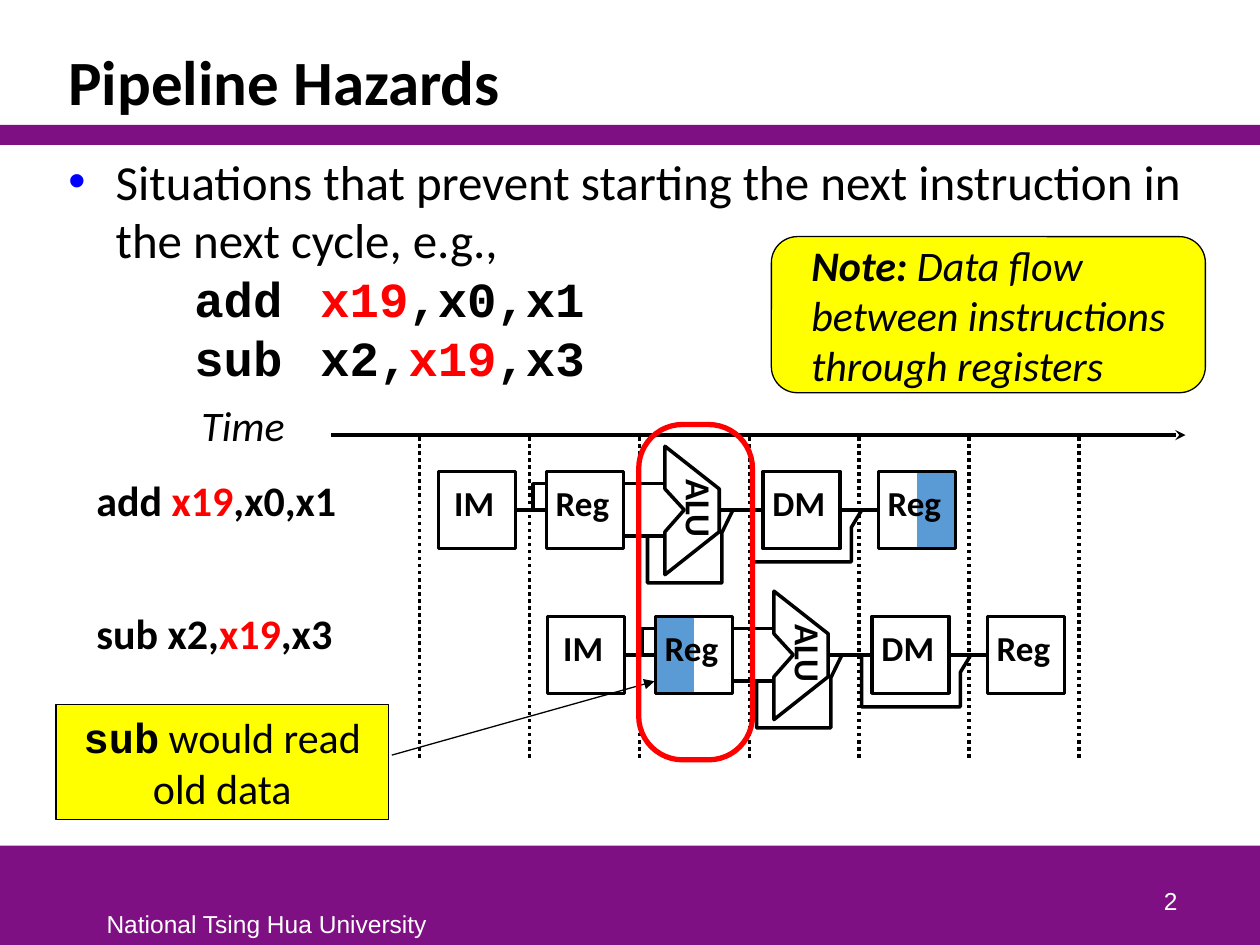
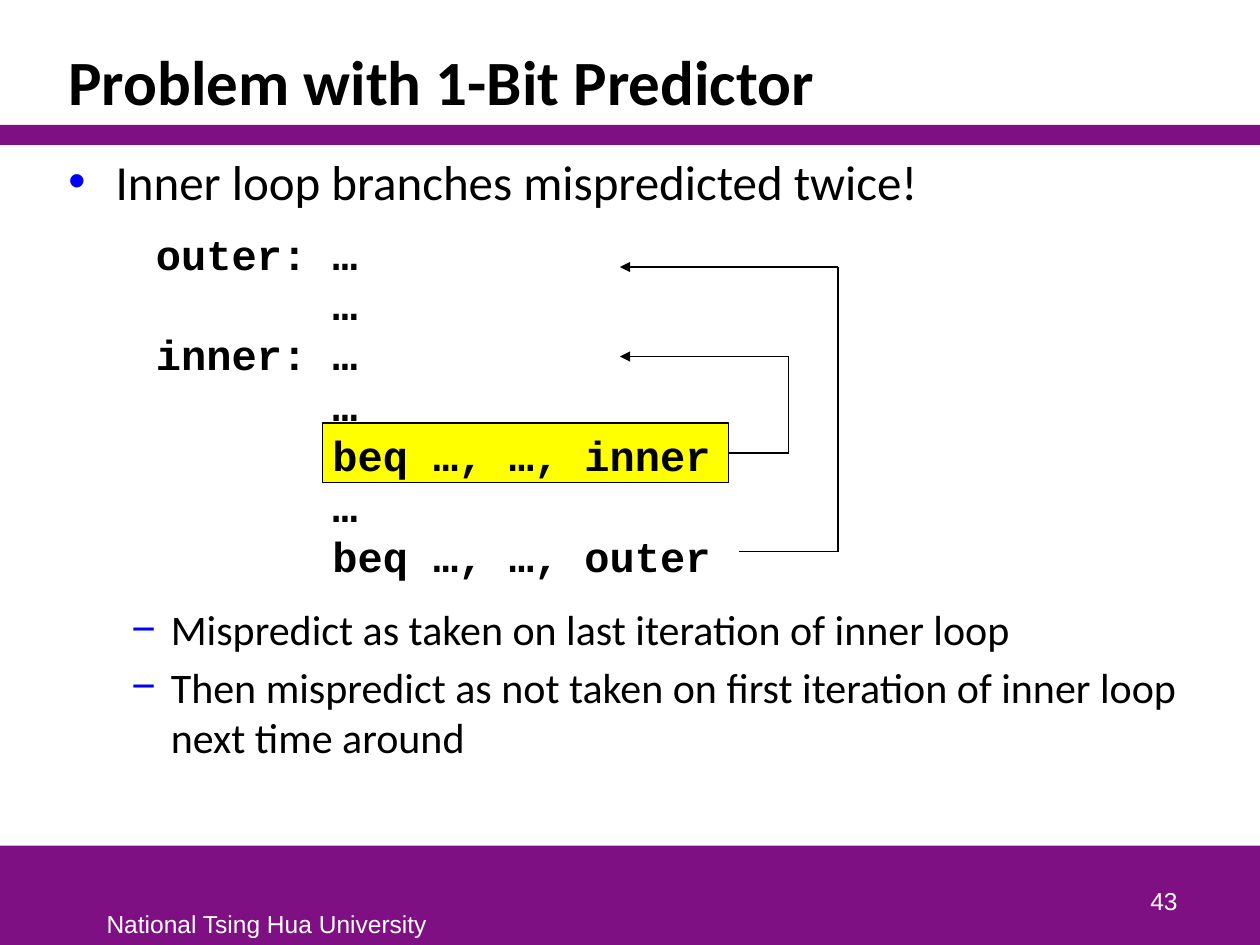
from dataclasses import dataclass, replace

from lxml.etree import SubElement
from pptx import Presentation
from pptx.dml.color import RGBColor
from pptx.enum.dml import MSO_LINE
from pptx.enum.shapes import MSO_CONNECTOR, MSO_SHAPE
from pptx.enum.text import MSO_ANCHOR, PP_ALIGN
from pptx.oxml.ns import qn
from pptx.util import Pt


@dataclass(frozen=True)
class Style:
    size: float
    font: str = "Calibri"
    color: str = "000000"
    bold: bool = False
    italic: bool = False


@dataclass(frozen=True)
class Theme:
    black: str = "000000"
    purple: str = "7F1084"
    yellow: str = "FFFF00"
    red: str = "FF0000"
    active: str = "5B9BD5"
    bullet: str = "0000FF"
    thin: float = 0.75
    wire: float = 2
    emphasis: float = 3
    title: Style = Style(36, bold=True)
    body: Style = Style(28)
    detail: Style = Style(24)
    body_code: Style = Style(28, "Courier New", bold=True)
    code: Style = Style(24, "Courier New", bold=True)
    note: Style = Style(24, italic=True)
    instruction: Style = Style(24, bold=True)
    stage: Style = Style(20, bold=True)
    footer: Style = Style(14, "Arial", "FFFFFF")


THEME = Theme()
BODY_BOX = (32, 82.8, 656.6, 398.2)
CYCLE = 62.8      # width of one clock cycle
HALF = 22         # half of a pipeline stage, whose middle is its wire level


def points(*values):
    return [Pt(value) for value in values]


def write(paragraph, *pieces):
    """Add (text, style) pieces as runs."""
    for text, style in pieces:
        run = paragraph.add_run()
        run.text = text
        run.font.size, run.font.name = Pt(style.size), style.font
        run.font.bold, run.font.italic = style.bold, style.italic
        run.font.color.rgb = RGBColor.from_string(style.color)


def add_text(slide, box, *pieces, wrap=True, align=PP_ALIGN.LEFT, anchor=MSO_ANCHOR.TOP):
    text_box = slide.shapes.add_textbox(*points(*box))
    text_frame = text_box.text_frame
    text_frame.word_wrap, text_frame.vertical_anchor = wrap, anchor
    text_frame.paragraphs[0].alignment = align
    write(text_frame.paragraphs[0], *pieces)
    return text_box


def paint(shape, fill=None, width=None, color=THEME.black):
    shape.shadow.inherit = False
    if fill:
        shape.fill.solid()
        shape.fill.fore_color.rgb = RGBColor.from_string(fill)
    else:
        shape.fill.background()
    if width:
        shape.line.width = Pt(width)
        shape.line.color.rgb = RGBColor.from_string(color)
    else:
        shape.line.fill.background()


def add_box(slide, kind, box, fill=None, width=None, color=THEME.black):
    shape = slide.shapes.add_shape(kind, *points(*box))
    paint(shape, fill, width, color)
    return shape


def add_arrowhead(shape, kind):
    line = shape.element.spPr.find(qn("a:ln"))
    SubElement(line, qn("a:tailEnd"), type=kind)


def add_line(slide, start, end, width, head=None, dash=None):
    connector = slide.shapes.add_connector(MSO_CONNECTOR.STRAIGHT, *points(*start, *end))
    connector.line.width = Pt(width)
    connector.line.color.rgb = RGBColor.from_string(THEME.black)
    if dash:
        connector.line.dash_style = dash
    if head:
        add_arrowhead(connector, head)
    SubElement(connector.element.spPr, qn("a:effectLst"))
    return connector


def add_outline(slide, origin, vertices, fill=None, close=False):
    """Draw a path whose vertices are relative to origin."""
    left, top = origin
    path = [points(left + x, top + y) for x, y in vertices]
    builder = slide.shapes.build_freeform(*path[0])
    builder.add_line_segments(path[1:], close=close)
    paint(builder.convert_to_shape(), fill, THEME.wire)


def set_bullet(paragraph, character, margin, hanging):
    properties = paragraph._p.get_or_add_pPr()
    properties.set("marL", str(Pt(margin)))
    properties.set("indent", str(-Pt(hanging)))
    color = SubElement(properties, qn("a:buClr"))
    SubElement(color, qn("a:srgbClr"), val=THEME.bullet)
    SubElement(properties, qn("a:buFont"), typeface="Arial")
    SubElement(properties, qn("a:buChar"), char=character)


def add_tabs(paragraph, *positions):
    tabs = SubElement(paragraph._p.get_or_add_pPr(), qn("a:tabLst"))
    for position in positions:
        SubElement(tabs, qn("a:tab"), pos=str(Pt(position)), algn="l")


def add_frame(presentation, title, number):
    """Start a slide with its bands, title, footer and number."""
    slide = presentation.slides.add_slide(presentation.slide_layouts[6])
    for top, height in ((483.3, 56.7), (71.4, 11.4)):
        add_box(slide, MSO_SHAPE.RECTANGLE, (0, top, 720, height), THEME.purple)
    add_text(slide, (53.8, 516, 199, 24), ("National Tsing Hua University", THEME.footer),
             wrap=False)
    heading = add_text(slide, (32, 18, 656.6, 53.4), (title, THEME.title),
                       anchor=MSO_ANCHOR.BOTTOM)
    heading.text_frame.paragraphs[0].line_spacing = 0.85
    add_text(slide, (530, 490.4, 150, 36), (str(number), THEME.footer),
             align=PP_ALIGN.RIGHT, anchor=MSO_ANCHOR.BOTTOM)
    return slide


def add_body(slide, text):
    text_frame = add_text(slide, BODY_BOX, (text, THEME.body)).text_frame
    set_bullet(text_frame.paragraphs[0], "•", 27, 27)
    return text_frame


def highlight(before, register, after, style):
    """Split an instruction into pieces with the shared register in red."""
    return (before, style), (register, replace(style, color=THEME.red)), (after, style)


def add_stage(slide, origin, offset, label, active_half=None):
    left, top = origin[0] + offset, origin[1]
    for half, outer in enumerate((0, 2 * HALF)):
        add_outline(slide, (left, top),
                    [(HALF, 0), (outer, 0), (outer, 2 * HALF), (HALF, 2 * HALF)],
                    THEME.active if half == active_half else None)
    add_text(slide, (left - 7.5, top + 2, 2 * HALF + 12, 33), (label, THEME.stage),
             wrap=False, align=PP_ALIGN.CENTER)


def add_datapath(slide, origin, read_half=None, write_half=None):
    """Draw one instruction's stages; the halves say which register part is active."""
    left, top = origin
    fetch, read, alu, memory, write_back = 0.5, 62.3, 130, 186, 252
    alu_end = alu + 31
    add_outline(slide, origin, [(alu, 34.5), (alu + 11, HALF), (alu, 10), (alu, -14.4),
                                (alu_end, 10), (alu_end, 34.5), (alu, 59)], close=True)
    alu_label = add_text(slide, (left + 124.4, top + 5, 49.7, 32.4), ("ALU", THEME.stage),
                         wrap=False, align=PP_ALIGN.CENTER)
    alu_label.rotation = 90
    add_stage(slide, origin, fetch, "IM")
    add_stage(slide, origin, read, "Reg", read_half)
    add_stage(slide, origin, memory, "DM")
    add_stage(slide, origin, write_back, "Reg", write_half)
    wires = [(fetch + 2 * HALF, read, HALF), (read + 2 * HALF, alu, 7),
             (read + 2 * HALF, alu, 37), (alu_end, memory, HALF),
             (memory + 2 * HALF, write_back, HALF)]
    for start, end, level in wires:
        add_line(slide, (left + start, top + level), (left + end, top + level), THEME.wire)
    bypasses = [
        [(54.5, HALF), (54.5, 7), (read, 7)],
        [(120, 37), (120, 63.7), (162.5, 63.7), (162.5, 35), (169, 21.6)],
        [(180, HALF), (180, 51.7), (236.5, 51.7), (236.5, 32), (242.5, HALF)],
    ]
    for bypass in bypasses:
        add_outline(slide, origin, bypass)


def add_pipeline_diagram(slide, left, top):
    """Draw the time axis, cycle lines and two staggered instructions."""
    add_line(slide, (left + 141.4, top + 24), (left + 629.5, top + 24),
             THEME.wire, head="stealth")
    add_text(slide, (left + 60, top, 64, 36), ("Time", THEME.note), wrap=False)
    for boundary in range(7):
        x = left + 191.8 + boundary * CYCLE
        add_line(slide, (x, top + 25.2), (x, top + 209.6), THEME.wire,
                 dash=MSO_LINE.ROUND_DOT)
    instructions = [("add ", "x19", ",x0,x1", 43.2), ("sub x2,", "x19", ",x3", 118.8)]
    for before, register, after, offset in instructions:
        add_text(slide, (left, top + offset, 152, 36),
                 *highlight(before, register, after, THEME.instruction), wrap=False)
    first_stage = (left + 202, top + 44.8)
    add_datapath(slide, first_stage, write_half=1)
    add_datapath(slide, (first_stage[0] + 62.3, first_stage[1] + 82.8), read_half=0)


def add_note(slide, box):
    note = add_box(slide, MSO_SHAPE.ROUNDED_RECTANGLE, box, THEME.yellow, THEME.thin)
    text_frame = note.text_frame
    text_frame.margin_left = Pt(18.5)
    text_frame.paragraphs[0].alignment = PP_ALIGN.LEFT
    write(text_frame.paragraphs[0], ("Note: ", replace(THEME.note, bold=True)),
          ("Data flow between instructions through registers", THEME.note))


def add_stale_read_callout(slide, box):
    callout = add_box(slide, MSO_SHAPE.LINE_CALLOUT_1, box, THEME.yellow, THEME.thin)
    for index, value in enumerate((0.44, 1.01, -0.2, 1.8)):
        callout.adjustments[index] = value
    add_arrowhead(callout, "triangle")
    paragraph = callout.text_frame.paragraphs[0]
    paragraph.alignment = PP_ALIGN.CENTER
    write(paragraph, ("sub", THEME.code), (" would read old data", THEME.detail))


def build_hazards_slide(presentation):
    slide = add_frame(presentation, "Pipeline Hazards", 2)
    body = add_body(slide, "Situations that prevent starting the next instruction in "
                           "the next cycle, e.g.,")
    for pieces in (("\tadd\t", "x19", ",x0,x1"), ("\tsub\tx2,", "x19", ",x3")):
        paragraph = body.add_paragraph()
        add_tabs(paragraph, 72, 144)
        write(paragraph, *highlight(*pieces, THEME.body_code))
    add_note(slide, (440.8, 135.2, 248, 89.2))
    add_pipeline_diagram(slide, 48, 224.6)
    add_stale_read_callout(slide, (32, 402.5, 190, 66))
    conflict = add_box(slide, MSO_SHAPE.ROUNDED_RECTANGLE, (365, 242.6, 65, 191.6),
                       width=THEME.emphasis, color=THEME.red)
    conflict.adjustments[0] = 0.385


def add_branch_arrow(slide, start, bend, target, branch=None):
    """Draw a path from start, out to x = bend, and back to the target point."""
    exit_line = add_line(slide, start, (bend, start[1]), THEME.thin)
    if branch:
        exit_line.begin_connect(branch, 3)
    add_line(slide, (bend, start[1]), (bend, target[1]), THEME.thin)
    add_line(slide, (bend, target[1]), target, THEME.thin, head="triangle")


def add_loop_code(slide, left, top):
    inner_branch = add_box(slide, MSO_SHAPE.RECTANGLE, (left + 102.3, top + 115, 232, 34),
                           THEME.yellow, THEME.thin)
    lines = ["outer: …", "       …", "inner: …", "       …",
             "       beq …, …, inner", "       …", "       beq …, …, outer"]
    text_frame = add_text(slide, (left, top, 334, 211), (lines[0], THEME.code),
                          wrap=False).text_frame
    for line in lines[1:]:
        write(text_frame.add_paragraph(), (line, THEME.code))
    for paragraph in text_frame.paragraphs:
        paragraph.line_spacing = Pt(28.8)
    loop_start = left + 272.2
    add_branch_arrow(slide, (left + 334.3, top + 132), left + 368.6,
                     (loop_start, top + 76.9), inner_branch)
    add_branch_arrow(slide, (left + 340.5, top + 188.4), left + 396.8,
                     (loop_start, top + 25.8))


def build_predictor_slide(presentation):
    slide = add_frame(presentation, "Problem with 1-Bit Predictor", 43)
    body = add_body(slide, "Inner loop branches mispredicted twice!")
    details = [("Mispredict as taken on last iteration of inner loop", 225),
               ("Then mispredict as not taken on first iteration of inner loop "
                "next time around", 4)]
    for text, space in details:
        paragraph = body.add_paragraph()
        paragraph.level = 1
        set_bullet(paragraph, "−", 58.5, 22.5)
        paragraph.space_before = Pt(space)
        write(paragraph, (text, THEME.detail))
    add_loop_code(slide, 82, 126.8)


def main():
    presentation = Presentation()
    presentation.slide_width, presentation.slide_height = points(720, 540)
    build_hazards_slide(presentation)
    build_predictor_slide(presentation)
    presentation.save("out.pptx")


if __name__ == "__main__":
    main()
